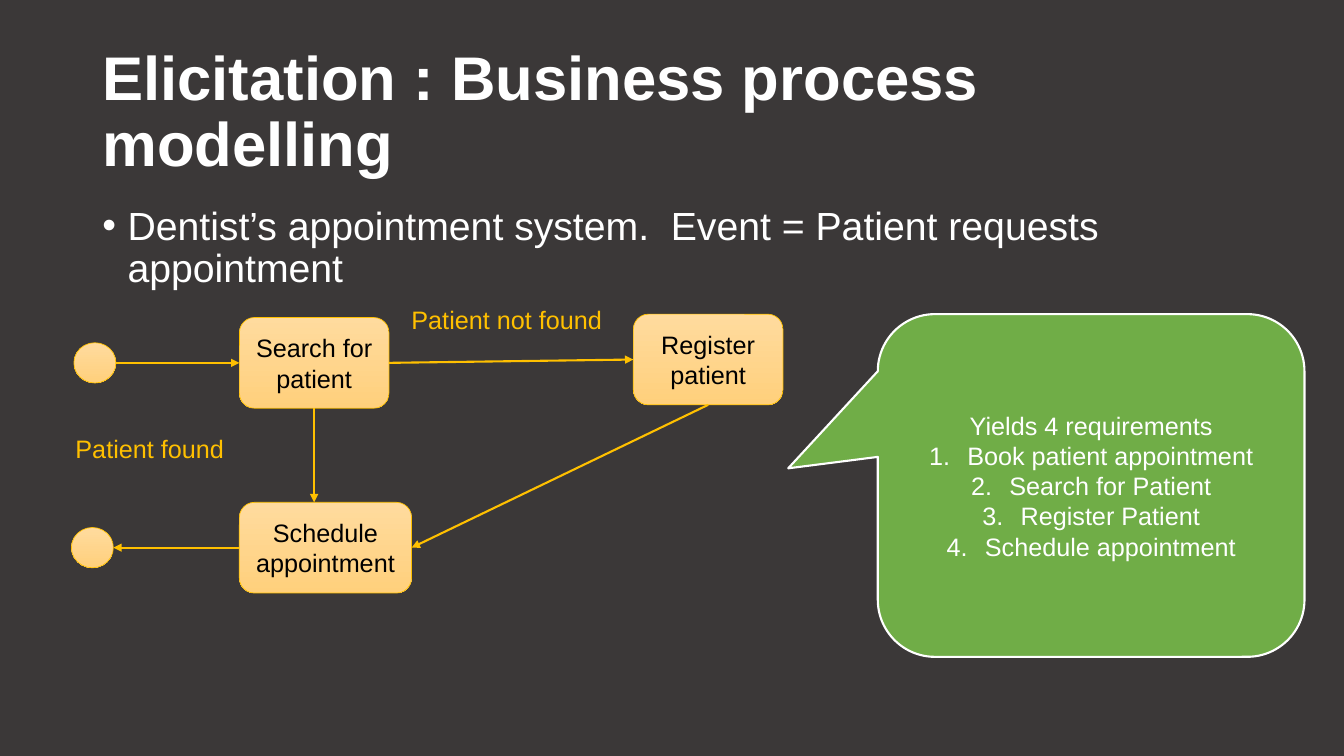
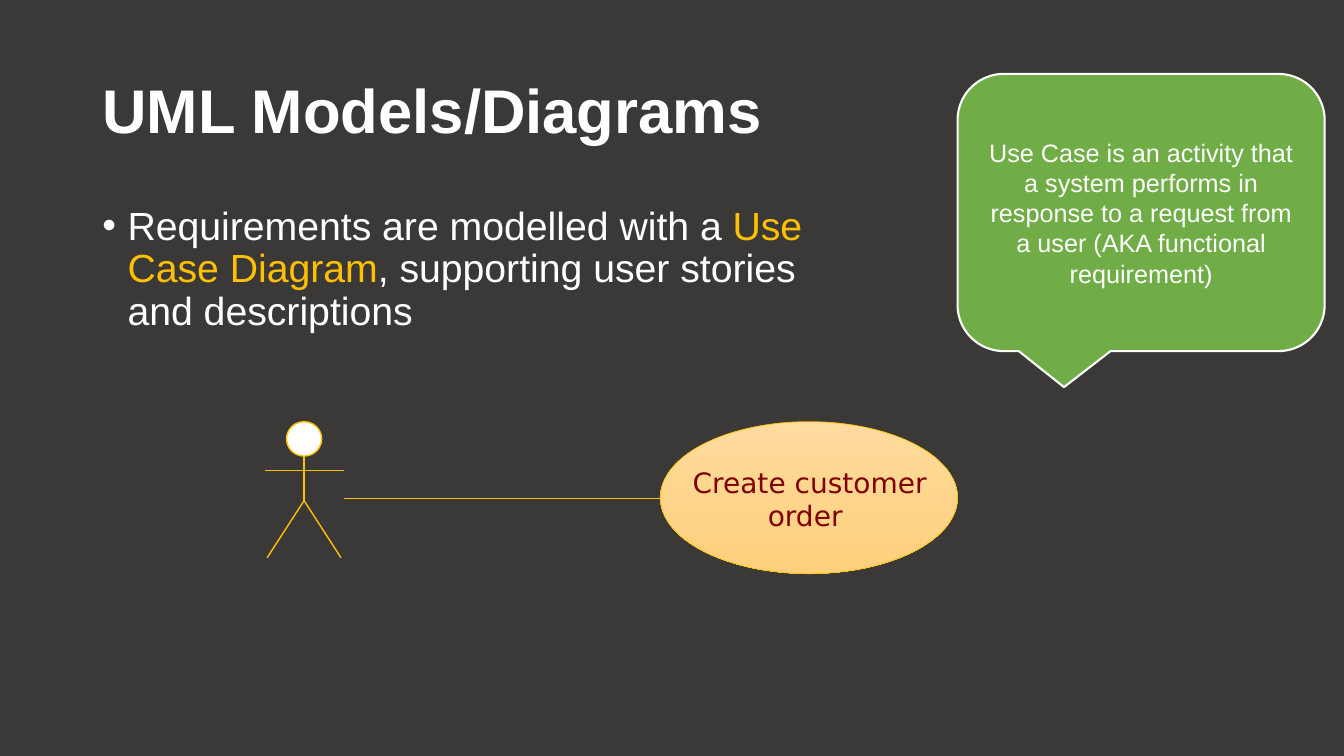
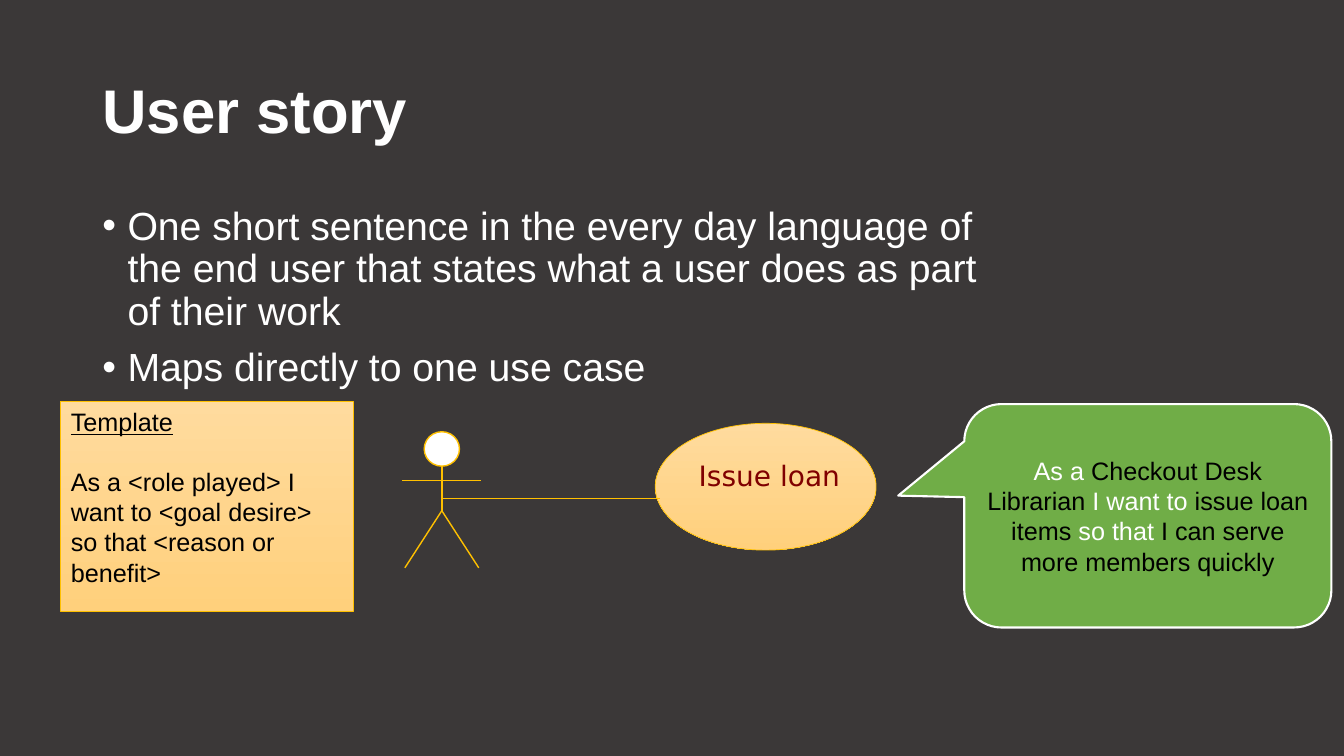
from dataclasses import dataclass
from typing import Optional

from lxml import etree
from pptx import Presentation
from pptx import util as u
from pptx.dml.color import RGBColor
from pptx.enum import shapes, text
from pptx.oxml.ns import qn

# The slide is a grid of 160 columns by 90 rows of square cells.
COLUMNS, ROWS = 160, 90
CELL = u.Inches(13.33) / COLUMNS


@dataclass(frozen=True)
class Theme:
    background: str = "3B3838"
    light: str = "FFFFFF"
    dark: str = "000000"
    accent: str = "FFC000"
    callout: str = "70AD47"
    use_case: str = "800000"
    node_top: str = "FFDB9E"
    node_bottom: str = "FFD07C"
    font: str = "Arial"
    use_case_font: str = "DejaVu Sans"
    title_size: float = 44
    body_size: float = 28
    use_case_size: float = 20
    label_size: float = 18
    hairline: float = 0.5
    figure_line: float = 1
    bold_line: float = 1.5


THEME = Theme()


@dataclass(frozen=True)
class Box:
    left: float
    top: float
    width: float
    height: float

    @property
    def right(self) -> float:
        return self.left + self.width

    @property
    def bottom(self) -> float:
        return self.top + self.height

    @property
    def center(self) -> float:
        return self.left + self.width / 2

    @property
    def middle(self) -> float:
        return self.top + self.height / 2

    def emu(self) -> list[int]:
        return [cells(v) for v in (self.left, self.top, self.width, self.height)]


@dataclass(frozen=True)
class Span:
    text: str
    color: Optional[str] = None


@dataclass(frozen=True)
class Para:
    spans: tuple[Span, ...]
    bullet: Optional[str] = None  # "•" or the name of a numbering scheme
    indent: float = 0
    before: float = 0
    underline: bool = False


@dataclass(frozen=True)
class Style:
    size: float = THEME.label_size
    color: str = THEME.light
    font: str = THEME.font
    bold: bool = False
    align: text.PP_ALIGN = text.PP_ALIGN.LEFT
    anchor: text.MSO_ANCHOR = text.MSO_ANCHOR.TOP
    spacing: float = 1


CENTER, MIDDLE = text.PP_ALIGN.CENTER, text.MSO_ANCHOR.MIDDLE
TITLE = Style(THEME.title_size, bold=True, anchor=MIDDLE, spacing=0.9)
BODY = Style(THEME.body_size, spacing=0.9)
NODE = Style(color=THEME.dark, align=CENTER, anchor=MIDDLE)
NOTE = Style(color=THEME.dark)
CALLOUT = Style(align=CENTER, anchor=MIDDLE)
LABEL = Style(color=THEME.accent)
USE_CASE = Style(THEME.use_case_size, THEME.use_case, THEME.use_case_font, align=CENTER)

Point = tuple[float, float]


def cells(count: float) -> int:
    return round(count * CELL)


def rgb(value: str) -> RGBColor:
    return RGBColor.from_string(value)


def plain(words: str, **options) -> Para:
    return Para((Span(words),), **options)


# ---- text ----
def add_bullet(para, item: Para) -> None:
    properties = para._p.get_or_add_pPr()
    properties.set("marL", str(u.Inches(item.indent)))
    properties.set("indent", str(-u.Inches(item.indent)))
    if item.bullet == "•":
        face = etree.SubElement(properties, qn("a:buFont"))
        face.set("typeface", THEME.font)
        etree.SubElement(properties, qn("a:buChar")).set("char", item.bullet)
    else:
        etree.SubElement(properties, qn("a:buAutoNum")).set("type", item.bullet)


def write(frame, style: Style, *items: Para) -> None:
    frame.word_wrap = True
    frame.auto_size = text.MSO_AUTO_SIZE.NONE
    frame.vertical_anchor = style.anchor
    for index, item in enumerate(items):
        para = frame.add_paragraph() if index else frame.paragraphs[0]
        para.alignment = style.align
        para.line_spacing = style.spacing
        para.space_before = u.Pt(item.before)
        if item.bullet:
            add_bullet(para, item)
        font = para.font
        font.name, font.size, font.bold = style.font, u.Pt(style.size), style.bold
        font.color.rgb = rgb(style.color)
        font.underline = item.underline
        for part in item.spans:
            span = para.add_run()
            span.text = part.text
            if part.color:
                span.font.color.rgb = rgb(part.color)


def add_text(page, box: Box, style: Style, *items: Para, inset: bool = True) -> None:
    frame = page.shapes.add_textbox(*box.emu()).text_frame
    if not inset:
        frame.margin_left = frame.margin_right = 0
        frame.margin_top = frame.margin_bottom = 0
    write(frame, style, *items)


def bullets(*lines: tuple[Span, ...]) -> list[Para]:
    return [Para(spans, "•", 0.25, 10 if index else 0) for index, spans in enumerate(lines)]


def add_page(deck, title: str, body: Box, items: list[Para]):
    page = deck.slides.add_slide(deck.slide_layouts[5])
    holder = page.shapes.title
    holder.left, holder.top, holder.width, holder.height = Box(11, 4.8, 138, 17.4).emu()
    write(holder.text_frame, TITLE, plain(title))
    add_text(page, body, BODY, *items)
    return page


# ---- shapes ----
def add_outlined(parent, kind, box: Box, line: str, width: float):
    shape = parent.shapes.add_shape(kind, *box.emu())
    shape.shadow.inherit = False
    shape.line.color.rgb = rgb(line)
    shape.line.width = u.Pt(width)
    return shape


def add_node(page, kind, box: Box, style: Style = NODE, *items: Para) -> None:
    shape = add_outlined(page, kind, box, THEME.accent, THEME.hairline)
    shape.fill.gradient()
    shape.fill.gradient_angle = 270
    for stop, color in zip(shape.fill.gradient_stops, (THEME.node_top, THEME.node_bottom)):
        stop.color.rgb = rgb(color)
    if items:
        write(shape.text_frame, style, *items)


def add_callout(page, box: Box, tip: Point, *items: Para) -> None:
    kind = shapes.MSO_SHAPE.ROUNDED_RECTANGULAR_CALLOUT
    shape = add_outlined(page, kind, box, THEME.light, THEME.bold_line)
    shape.fill.solid()
    shape.fill.fore_color.rgb = rgb(THEME.callout)
    shape.adjustments[0], shape.adjustments[1] = tip
    write(shape.text_frame, CALLOUT, *items)


def add_line(parent, start: Point, end: Point, width: float, arrow: bool = False) -> None:
    ends = [cells(value) for value in (*start, *end)]
    line = parent.shapes.add_connector(shapes.MSO_CONNECTOR.STRAIGHT, *ends)
    line.line.color.rgb = rgb(THEME.accent)
    line.line.width = u.Pt(width)
    if arrow:
        etree.SubElement(line.line._get_or_add_ln(), qn("a:tailEnd")).set("type", "triangle")
    etree.SubElement(line._element.spPr, qn("a:effectLst"))


def add_actor(page, center: float, top: float) -> None:
    figure = page.shapes.add_group_shape()
    neck, arms, hips, feet = (top + drop for drop in (3.9, 5.8, 9.4, 16.2))
    limbs = (
        ((center, hips), (center, neck)),
        ((center - 4.7, arms), (center + 4.7, arms)),
        ((center - 4.4, feet), (center, hips)),
        ((center, hips), (center + 4.4, feet)),
    )
    for start, end in limbs:
        add_line(figure, start, end, THEME.figure_line)
    head = add_outlined(figure, shapes.MSO_SHAPE.OVAL, Box(center - 2.1, top, 4.2, 4.1),
                        THEME.accent, THEME.figure_line)
    head.fill.solid()
    head.fill.fore_color.rgb = rgb(THEME.light)


def add_use_case(page, oval: Box, label: Box, words: str, line_start: float) -> None:
    add_node(page, shapes.MSO_SHAPE.OVAL, oval)
    add_text(page, label, USE_CASE, plain(words), inset=False)
    add_line(page, (line_start, 59.3), (78.6, 59.3), THEME.hairline)


# ---- slides ----
def build_process(deck) -> None:
    page = add_page(
        deck, "Elicitation : Business process modelling", Box(11, 24, 138, 13.8),
        bullets((Span("Dentist’s appointment system.  Event = Patient requests appointment"),)))

    begin, finish = Box(8.8, 40.8, 5, 4.8), Box(8.5, 62.8, 5, 4.8)
    search = Box(28.5, 37.8, 17.8, 10.8)
    register = Box(75.4, 37.4, 17.8, 10.8)
    schedule = Box(28.5, 59.8, 20.5, 10.8)
    for box in (begin, finish):
        add_node(page, shapes.MSO_SHAPE.OVAL, box)
    steps = ((search, "Search for patient"), (register, "Register patient"),
             (schedule, "Schedule appointment"))
    for box, words in steps:
        add_node(page, shapes.MSO_SHAPE.ROUNDED_RECTANGLE, box, NODE, plain(words))

    flows = (
        ((begin.right, begin.middle), (search.left, search.middle)),
        ((search.right, search.middle), (register.left, register.middle)),
        ((register.center, register.bottom), (schedule.right, schedule.middle)),
        ((schedule.left, schedule.middle), (finish.right, finish.middle)),
        ((search.center, search.bottom), (search.center, schedule.top)),
    )
    for start, end in flows:
        add_line(page, start, end, THEME.bold_line, arrow=True)
    add_text(page, Box(47.8, 35.6, 26.4, 4.8), LABEL, plain("Patient not found"))
    add_text(page, Box(7.8, 51, 26.4, 4.8), LABEL, plain("Patient found"))

    requirements = ("Book patient appointment", "Search for Patient",
                    "Register Patient", "Schedule appointment")
    add_callout(page, Box(104.5, 37.4, 50.8, 40.8), (-0.71, -0.05),
                plain("Yields 4 requirements"),
                *(plain(name, bullet="arabicPeriod", indent=0.38) for name in requirements))


def build_models(deck) -> None:
    page = add_page(
        deck, "UML Models/Diagrams", Box(11, 24, 91.4, 57.1),
        bullets((Span("Requirements are modelled with a "),
                 Span("Use Case Diagram", THEME.accent),
                 Span(", supporting user stories and descriptions"))))
    add_use_case(page, Box(78.6, 50.2, 35.4, 18.1), Box(81.4, 55.4, 30, 8),
                 "Create customer order ", line_start=40.9)
    add_actor(page, 36.2, 50.2)
    add_callout(page, Box(114, 8.8, 43.7, 33), (-0.21, 0.63),
                plain("Use Case is an activity that a system performs in response to "
                      "a request from a user (AKA functional requirement)"))


def build_story(deck) -> None:
    page = add_page(
        deck, "User story", Box(11, 24, 106.8, 57.1),
        bullets((Span("One short sentence in the every day language of the end user "
                      "that states what a user does as part of their work"),),
                (Span("Maps directly to one use case"),)))
    add_node(page, shapes.MSO_SHAPE.RECTANGLE, Box(7.25, 47.8, 34.8, 25), NOTE,
             plain("Template", underline=True),
             plain("As a <role played> I want to <goal desire> so that <reason or benefit>",
                   before=21))
    add_use_case(page, Box(78, 50.4, 26.3, 15.1), Box(80.5, 54.6, 22.2, 3.4),
                 "Issue loan", line_start=52.6)
    add_actor(page, 52.6, 51.4)
    story = (Span("As a "), Span("Checkout Desk Librarian", THEME.dark),
             Span(" I want to "), Span("issue loan items", THEME.dark),
             Span(" so that "), Span("I can serve more members quickly", THEME.dark))
    add_callout(page, Box(114.8, 48.1, 43.7, 26.6), (-0.68, -0.09), Para(story))


def main() -> None:
    deck = Presentation()
    deck.slide_width, deck.slide_height = cells(COLUMNS), cells(ROWS)
    fill = deck.slide_master.background.fill
    fill.solid()
    fill.fore_color.rgb = rgb(THEME.background)
    for build in (build_process, build_models, build_story):
        build(deck)
    deck.save("out.pptx")


if __name__ == "__main__":
    main()
